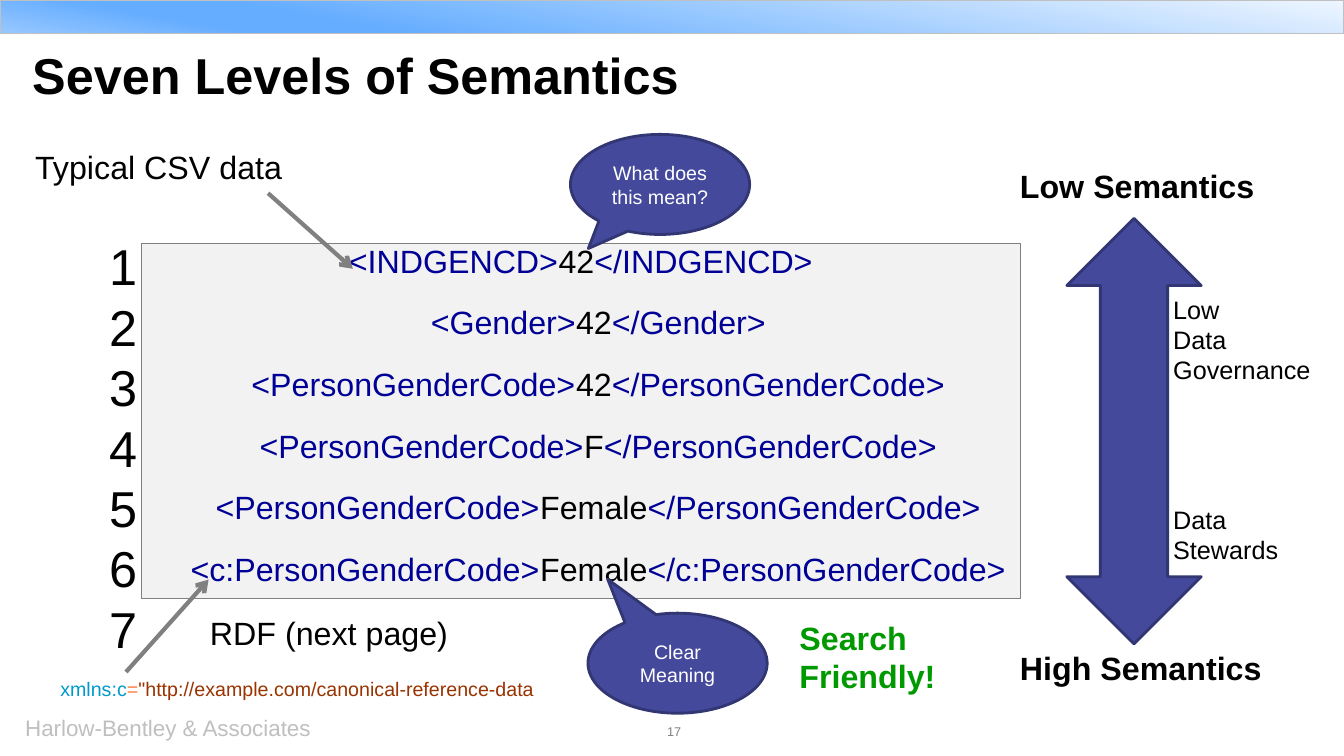
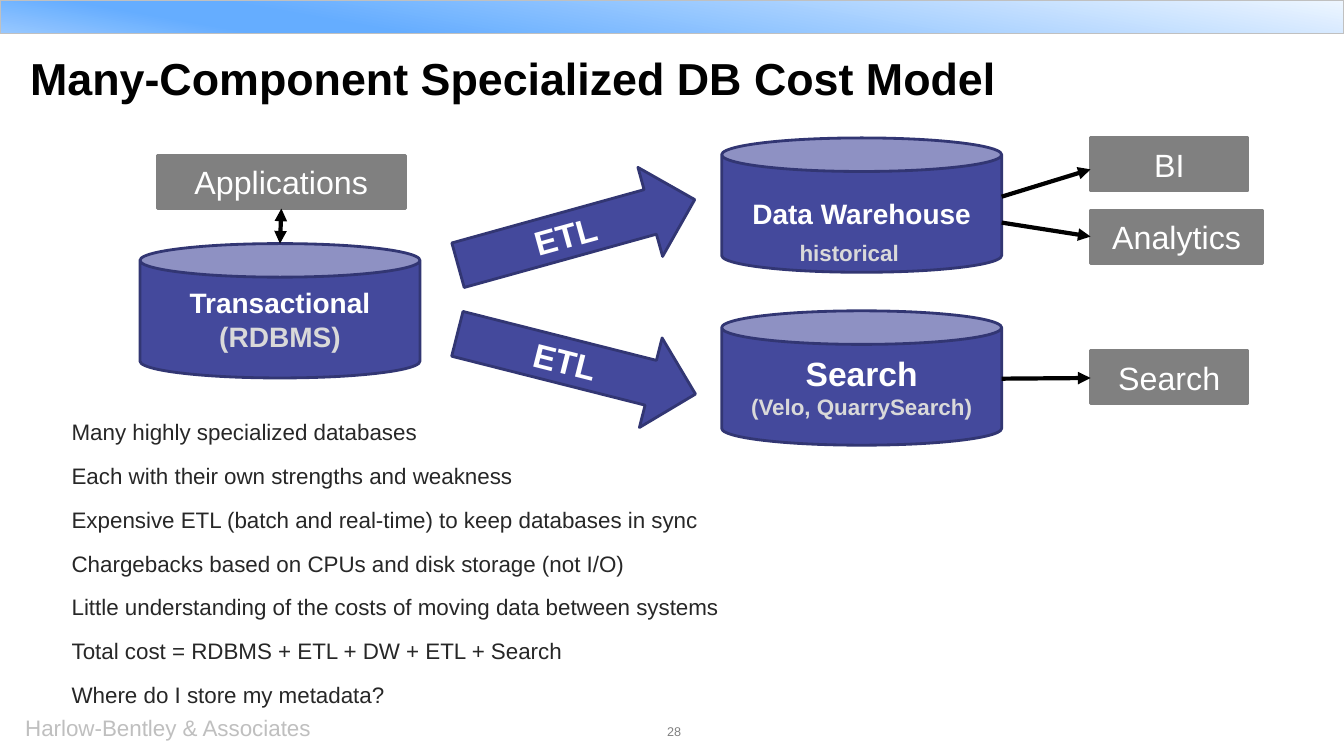
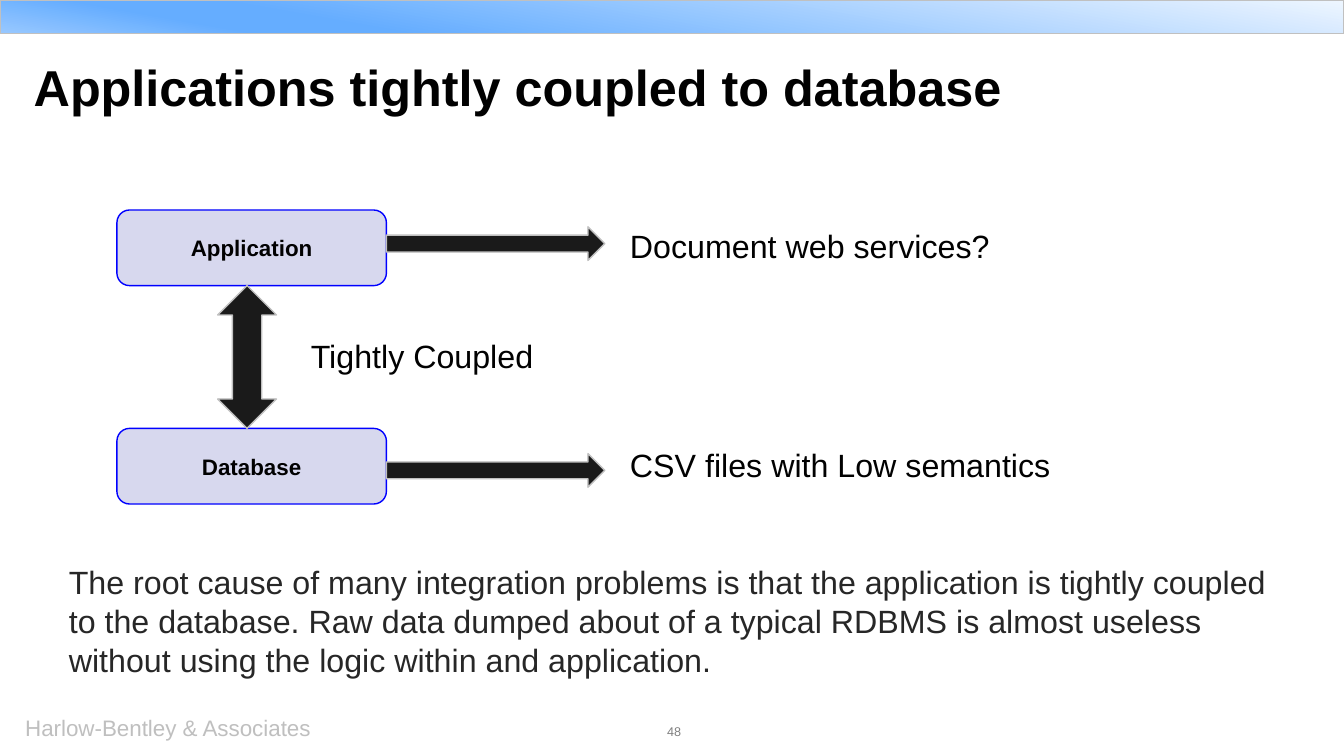
from dataclasses import dataclass

from lxml import etree
from pptx import Presentation
from pptx.dml.color import RGBColor
from pptx.enum.shapes import MSO_CONNECTOR, MSO_SHAPE as Preset
from pptx.enum.text import MSO_ANCHOR as Anchor, PP_ALIGN as Align
from pptx.oxml import parse_xml
from pptx.oxml.ns import nsdecls, qn
from pptx.util import Pt


@dataclass(frozen=True)
class Theme:
    font: str = "Arial"
    ink: str = "010101"
    body: str = "272727"
    white: str = "FFFFFF"
    pale: str = "D9D9D9"
    grey: str = "808080"
    silver: str = "C0C0C0"
    footer: str = "BFBFBF"
    indigo: str = "44499C"
    indigo_edge: str = "323673"
    lilac: str = "D7D8EE"
    blue: str = "0000FF"
    charcoal: str = "1A1A1A"
    panel: str = "F2F2F2"
    tag: str = "000096"
    code: str = "000000"
    green: str = "009900"
    attribute: str = "0099CC"
    equals: str = "FF8040"
    string: str = "993300"
    band: tuple = ((0, "EEF6FF"), (74, "65ADFF"), (83, "65ADFF"), (100, "98C8FF"))
    band_angle: int = 100
    huge: int = 36
    wide_title: int = 32
    large: int = 24
    text: int = 23
    medium: int = 20
    side: int = 18
    small: int = 16
    note: int = 14
    tiny: int = 9


T = Theme()
WIDTH, HEIGHT = 960, 540
FOOTER = "Harlow-Bentley & Associates"
INSET = (7.2, 3.6, 7.2, 3.6)
FLAT = (0, 0, 0, 0)
INDIGO = dict(fill=T.indigo, line=T.indigo_edge, weight=2)
GREY = dict(fill=T.grey, line=T.grey, weight=2)
CHARCOAL = dict(fill=T.charcoal, line=T.silver, weight=1)

# Content: levels of semantics
LEVELS = [("INDGENCD", "42"), ("Gender", "42"), ("PersonGenderCode", "42"),
          ("PersonGenderCode", "F"), ("PersonGenderCode", "Female"),
          ("c:PersonGenderCode", "Female")]
NAMESPACE = [("xmlns:c", T.attribute), ("=", T.equals),
             ('"http://example.com/canonical-reference-data', T.string)]
CALLOUTS = [("What does this mean?", (407.5, 96), (-0.4, 0.64)),
            ("Clear Meaning", (420, 438), (-0.39, -0.84))]
LEVEL_LABELS = [  # paragraphs, place, text options
    (["Low Semantics"], (721.5, 115, 200, 35), dict(bold=True)),
    (["High Semantics"], (721.5, 459.5, 200, 35), dict(bold=True)),
    (["Typical CSV data"], (18, 102, 205, 35), {}),
    (["Search", "Friendly!"], (564, 438, 125, 63), dict(bold=True, color=T.green)),
    (["RDF (next page)"], (150, 438, 185, 28), dict(inset=FLAT)),
    (["Data", "Stewards"], (838, 360, 90, 44), dict(inset=FLAT, size=T.side)),
    (["Low", "Data", "Governance"], (838, 210, 112, 66), dict(inset=FLAT, size=T.side)),
    ([str(n) for n in range(1, 8)], (78, 168, 24, 305), dict(inset=FLAT, size=T.huge)),
]
POINTERS = [((90, 480), (149, 414)), ((191.5, 138), (252, 192))]

# Content: cost model
COSTS = ["Many highly specialized databases",
         "Each with their own strengths and weakness",
         "Expensive ETL (batch and real-time) to keep databases in sync",
         "Chargebacks based on CPUs and disk storage (not I/O)",
         "Little understanding of the costs of moving data between systems",
         "Total cost = RDBMS + ETL + DW + ETL + Search",
         "Where do I store my metadata?"]
STORES = [  # lines of (text, colour, size), left, top
    ([("Transactional", T.white, T.medium), ("(RDBMS)", T.pale, T.medium)], 100, 174),
    ([("Data Warehouse", T.white, T.medium)], 515.5, 98.5),
    ([("Search", T.white, T.large), ("(Velo, QuarrySearch)", T.pale, T.small)], 515.5, 222),
]
CLIENTS = [("BI", 779, 98.5, 112.5), ("Analytics", 779, 150, 123),
           ("Applications", 112.5, 111, 177), ("Search", 779, 250.5, 112.5)]
FLOWS = [(133, 344.5), (227, 14.2)]  # top, rotation
LINKS = [((201, 149), (200, 174), "both"), ((779, 121), (715.5, 140.5), "head"),
         ((779, 169), (715.5, 159), "head"), ((779, 270), (715.5, 270.5), "head")]

# Content: coupling
TIERS = [("Application", 150, 162, "Document web services?", 162),
         ("Database", 306, 324, "CSV files with Low semantics", 318)]
ROOT_CAUSE = ("The root cause of many integration problems is that the application is "
              "tightly coupled to the database. Raw data dumped about of a typical RDBMS "
              "is almost useless without using the logic within and application.")


def rgb(color):
    return RGBColor.from_string(color)


def write(box, paras, size=T.text, color=T.ink, bold=False, align=Align.LEFT,
          anchor=Anchor.TOP, inset=INSET, spacing=None, before=0, after=0, indents=()):
    """Fill a shape; a paragraph is a string or a list of (text, colour, size)."""
    frame = box.text_frame
    frame.word_wrap = True
    frame.vertical_anchor = anchor
    (frame.margin_left, frame.margin_top,
     frame.margin_right, frame.margin_bottom) = map(Pt, inset)
    for i, runs in enumerate(paras):
        para = frame.add_paragraph() if i else frame.paragraphs[0]
        para.alignment = align
        para.space_before, para.space_after = Pt(before if i else 0), Pt(after)
        if spacing:
            para.line_spacing = spacing
        if indents:
            para._p.get_or_add_pPr().set("marL", str(Pt(indents[i])))
        for text, *style in [(runs,)] if isinstance(runs, str) else runs:
            span = para.add_run()
            span.text = text
            span.font.name = T.font
            span.font.bold = bold
            span.font.color.rgb = rgb(style[0] if style else color)
            span.font.size = Pt(style[1] if len(style) > 1 else size)


def label(page, paras, place, **options):
    write(page.shapes.add_textbox(*map(Pt, place)), paras, **options)


def block(page, preset, place, fill, line, weight, adjust=(), paras=(), **options):
    shape = page.shapes.add_shape(preset, *map(Pt, place))
    shape.shadow.inherit = False
    shape.fill.solid()
    shape.fill.fore_color.rgb = rgb(fill)
    shape.line.color.rgb = rgb(line)
    shape.line.width = Pt(weight)
    for i, value in enumerate(adjust):
        shape.adjustments[i] = value
    if paras:
        write(shape, paras, **{"align": Align.CENTER, "anchor": Anchor.MIDDLE, **options})
    return shape


def arrow(page, start, end, color, ends, kind):
    line = page.shapes.add_connector(MSO_CONNECTOR.STRAIGHT, *map(Pt, start + end))
    line.line.color.rgb = rgb(color)
    line.line.width = Pt(3)
    outline = line.line._get_or_add_ln()
    for side in ("head", "tail"):
        if ends in (side, "both"):
            etree.SubElement(outline, qn(f"a:{side}End")).set("type", kind)
    etree.SubElement(line._element.spPr, qn("a:effectLst"))


def new_page(deck, title, number, left, top, size=T.huge):
    """Add a slide with the shared band, title and footer."""
    page = deck.slides.add_slide(deck.slide_layouts[6])
    band = block(page, Preset.RECTANGLE, (0, 0, WIDTH, 24), T.white, T.silver, 1)
    stops = "".join(f'<a:gs pos="{at * 1000}"><a:srgbClr val="{color}"/></a:gs>'
                    for at, color in T.band)
    gradient = parse_xml(f'<a:gradFill {nsdecls("a")} rotWithShape="1"><a:gsLst>{stops}</a:gsLst>'
                         f'<a:lin ang="{T.band_angle * 60000}" scaled="0"/></a:gradFill>')
    properties = band._element.spPr
    properties.replace(properties.find(qn("a:solidFill")), gradient)
    label(page, [FOOTER], (18, 510, 260, 20), size=T.small, color=T.footer, inset=FLAT)
    label(page, [str(number)], (282.5, 517, 398, 12), size=T.tiny, color=T.grey,
          align=Align.CENTER, inset=FLAT)
    label(page, [title], (left, top, 760, 46), size=size, bold=True,
          spacing=Pt(40), inset=FLAT)
    return page


def semantics(deck):
    page = new_page(deck, "Seven Levels of Semantics", 17, 23, 34.5)
    # Code panel
    lines = [[(f"<{tag}>", T.tag), (value, T.code), (f"</{tag}>", T.tag)]
             for tag, value in LEVELS]
    block(page, Preset.RECTANGLE, (101, 174, 628, 253.5), T.panel, T.grey, 0.75,
          paras=lines, anchor=Anchor.TOP, spacing=0.8, before=22,
          indents=[0] + [25] * (len(lines) - 1))
    # Semantics scale and callouts
    block(page, Preset.UP_DOWN_ARROW, (762, 156, 96, 304), **INDIGO, adjust=(0.48, 0.5))
    for text, corner, tip in CALLOUTS:
        block(page, Preset.OVAL_CALLOUT, corner + (128, 71.5), **INDIGO, adjust=tip,
              paras=[text], size=T.note, color=T.white)
    # Labels and pointers
    label(page, [NAMESPACE], (36, 480, 370, 24), size=T.note)
    for paras, place, options in LEVEL_LABELS:
        label(page, paras, place, **options)
    for start, end in POINTERS:
        arrow(page, start, end, T.grey, "tail", "arrow")


def cost_model(deck):
    page = new_page(deck, "Many-Component Specialized DB Cost Model", 28,
                    21.5, 34.5, T.wide_title)
    label(page, COSTS, (44, 299, 873, 207), size=T.small, color=T.body, inset=FLAT,
          before=6, after=6, indents=[7.2] * len(COSTS))
    # Databases, flows and clients
    for lines, left, top in STORES:
        block(page, Preset.CAN, (left, top, 200, 96), **INDIGO,
              paras=[[line] for line in lines], bold=True)
    for top, turn in FLOWS:
        flow = block(page, Preset.RIGHT_ARROW, (324, top, 175.5, 66), **INDIGO,
                     paras=["ETL"], size=T.large, color=T.white, bold=True)
        flow.rotation = turn
    for name, left, top, width in CLIENTS:
        block(page, Preset.RECTANGLE, (left, top, width, 38), **GREY,
              paras=[name], color=T.white)
    for start, end, ends in LINKS:
        arrow(page, start, end, T.ink, ends, "triangle")
    label(page, ["historical"], (564, 167, 95, 27), size=T.small, color=T.pale, bold=True)


def coupling(deck):
    page = new_page(deck, "Applications tightly coupled to database", 48, 24, 43)
    label(page, [ROOT_CAUSE], (42, 402, 873, 90), color=T.body, inset=FLAT, indents=[7.2])
    # Tiers with their outputs
    for name, top, arrow_top, output, output_top in TIERS:
        block(page, Preset.ROUNDED_RECTANGLE, (83.5, top, 192.5, 54), T.lilac, T.blue, 1,
              paras=[name], size=T.small, bold=True, inset=(14.4, 7.2, 14.4, 7.2))
        block(page, Preset.RIGHT_ARROW, (276, arrow_top, 156, 24), **CHARCOAL)
        label(page, [output], (450, output_top, 342, 28), inset=FLAT)
    # Link between the tiers
    block(page, Preset.UP_DOWN_ARROW, (155.5, 204, 42, 102), **CHARCOAL)
    label(page, ["Tightly Coupled"], (222, 240, 175, 28), inset=FLAT)


def main():
    deck = Presentation()
    deck.slide_width, deck.slide_height = Pt(WIDTH), Pt(HEIGHT)
    for build in (semantics, cost_model, coupling):
        build(deck)
    deck.save("out.pptx")


if __name__ == "__main__":
    main()
